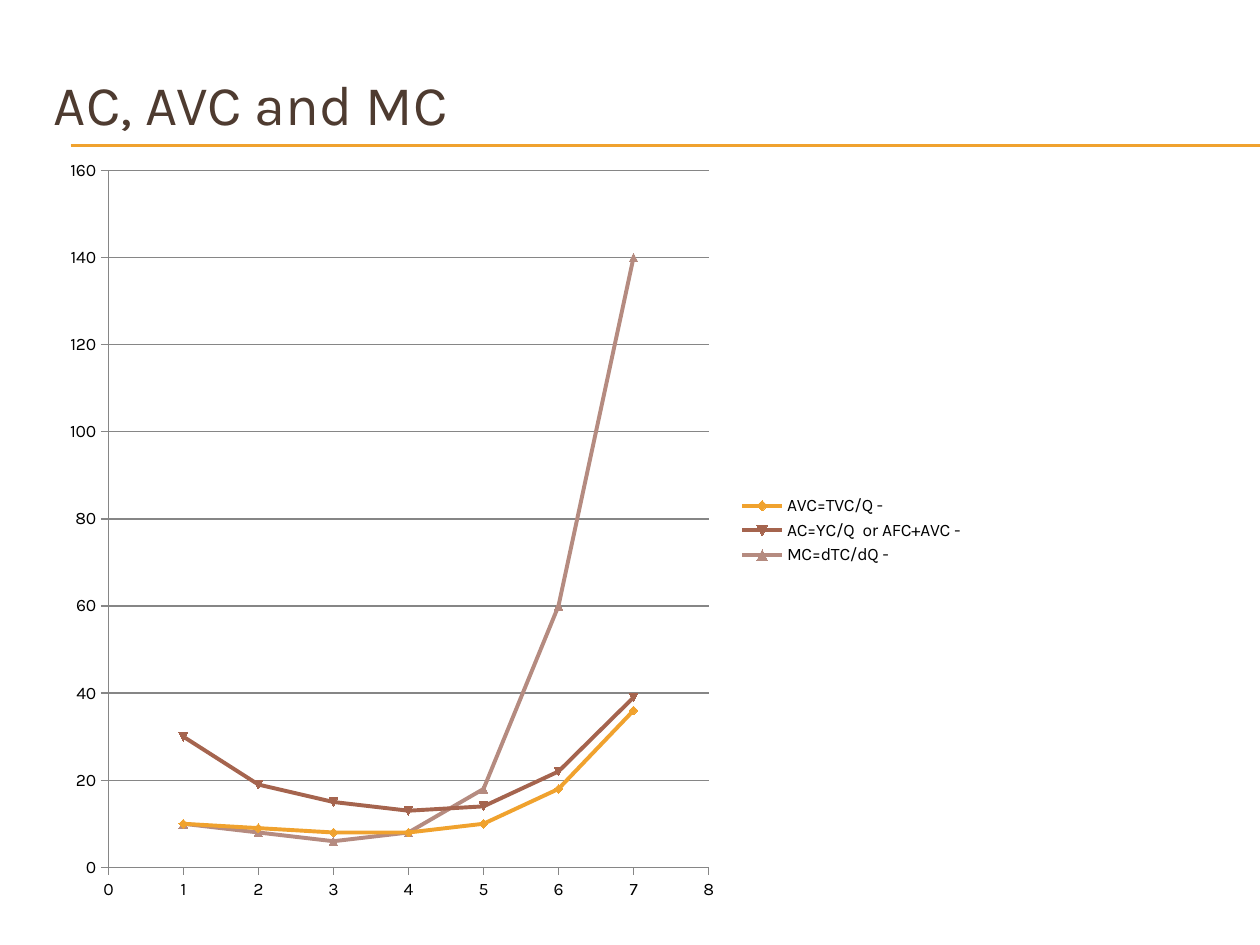
from lxml import etree
from pptx import Presentation
from pptx.chart.data import XyChartData
from pptx.dml.color import RGBColor
from pptx.enum import chart as ch, shapes
from pptx.oxml import parse_xml
from pptx.oxml.ns import qn, nsdecls
from pptx.util import Inches, Pt

FONT = "Karla"
TITLE = "AC, AVC and MC"
QUANTITIES = range(1, 8)
# name, costs, colour, marker (None: automatic)
CURVES = [
    ("AVC=TVC/Q -", [10, 9, 8, 8, 10, 18, 36], "F0A22E", ch.XL_MARKER_STYLE.DIAMOND),
    ("AC=YC/Q  or AFC+AVC -", [30, 19, 15, 13, 14, 22, 39], "A5644E", None),
    ("MC=dTC/dQ - ", [10, 8, 6, 8, 18, 60, 140], "B58B80", ch.XL_MARKER_STYLE.TRIANGLE),
]
PLOT_AREA = {"x": 0.06, "y": 0.03, "w": 0.65, "h": 0.91}


def color(value):
    return RGBColor.from_string(value)


def style_font(font, size, value):
    for name, setting in {"name": FONT, "size": Pt(size)}.items():
        setattr(font, name, setting)
    font.color.rgb = color(value)


def style_line(line, value, width):
    line.color.rgb = color(value)
    line.width = Pt(width)


def add_rule(slide, top):
    rule = slide.shapes.add_connector(
        shapes.MSO_CONNECTOR.STRAIGHT, Inches(0.56), Inches(top), Inches(10), Inches(top))
    style_line(rule.line, "F0A22E", 0.75)
    etree.SubElement(rule.element.spPr, qn("a:effectLst"))


def add_title(slide):
    box = slide.shapes.add_textbox(Inches(0.33), Inches(0.5), Inches(9.5), Inches(6.15))
    box.text_frame.word_wrap = True
    span = box.text_frame.paragraphs[0].add_run()
    span.text = TITLE
    style_font(span.font, 32, "4E3B30")


def place_plot_area(chart):
    """Fix the inner plot area as fractions of the chart."""
    area = chart.element.find(".//" + qn("c:plotArea"))
    for old in area.findall(qn("c:layout")):
        area.remove(old)
    modes = '<c:xMode val="edge"/><c:yMode val="edge"/>'
    sizes = "".join(f'<c:{key} val="{value}"/>' for key, value in PLOT_AREA.items())
    area.insert(0, parse_xml(
        f'<c:layout {nsdecls("c")}><c:manualLayout><c:layoutTarget val="inner"/>'
        f'{modes}{sizes}</c:manualLayout></c:layout>'))


def add_cost_chart(slide):
    data = XyChartData()
    for name, costs, *_ in CURVES:
        series = data.add_series(name)
        for quantity, cost in zip(QUANTITIES, costs):
            series.add_data_point(quantity, cost)
    chart = slide.shapes.add_chart(
        ch.XL_CHART_TYPE.XY_SCATTER_LINES, Inches(0.42), Inches(1.17),
        Inches(7.33), Inches(6.08), data).chart
    style_font(chart.font, 10, "000000")
    chart.has_title = False
    chart.has_legend = True
    chart.legend.position = ch.XL_LEGEND_POSITION.RIGHT
    chart.legend.include_in_layout = False
    chart.plots[0].vary_by_categories = False
    place_plot_area(chart)

    for axis, top, step in ((chart.category_axis, 8, 1), (chart.value_axis, 160, 20)):
        settings = {"minimum_scale": 0, "maximum_scale": top, "major_unit": step,
                    "major_tick_mark": ch.XL_TICK_MARK.OUTSIDE,
                    "minor_tick_mark": ch.XL_TICK_MARK.NONE,
                    "has_major_gridlines": axis is chart.value_axis}
        for name, setting in settings.items():
            setattr(axis, name, setting)
        axis.tick_labels.number_format = "General"
        axis.tick_labels.number_format_is_linked = False
        style_line(axis.format.line, "868686", 0.75)
    style_line(chart.value_axis.major_gridlines.format.line, "868686", 0.75)

    for series, (_, _, value, marker) in zip(chart.plots[0].series, CURVES):
        series.smooth = False
        style_line(series.format.line, value, 2.25)
        if marker is not None:
            series.marker.style = marker
        series.marker.size = 5
        series.marker.format.fill.solid()
        series.marker.format.fill.fore_color.rgb = color(value)
        style_line(series.marker.format.line, value, 0.75)


def main():
    deck = Presentation()
    deck.slide_width, deck.slide_height = Inches(10), Inches(7.5)
    slide = deck.slides.add_slide(deck.slide_layouts[6])
    for top in (1.15, 1.16):
        add_rule(slide, top)
    add_title(slide)
    add_cost_chart(slide)
    deck.save("out.pptx")


if __name__ == "__main__":
    main()
